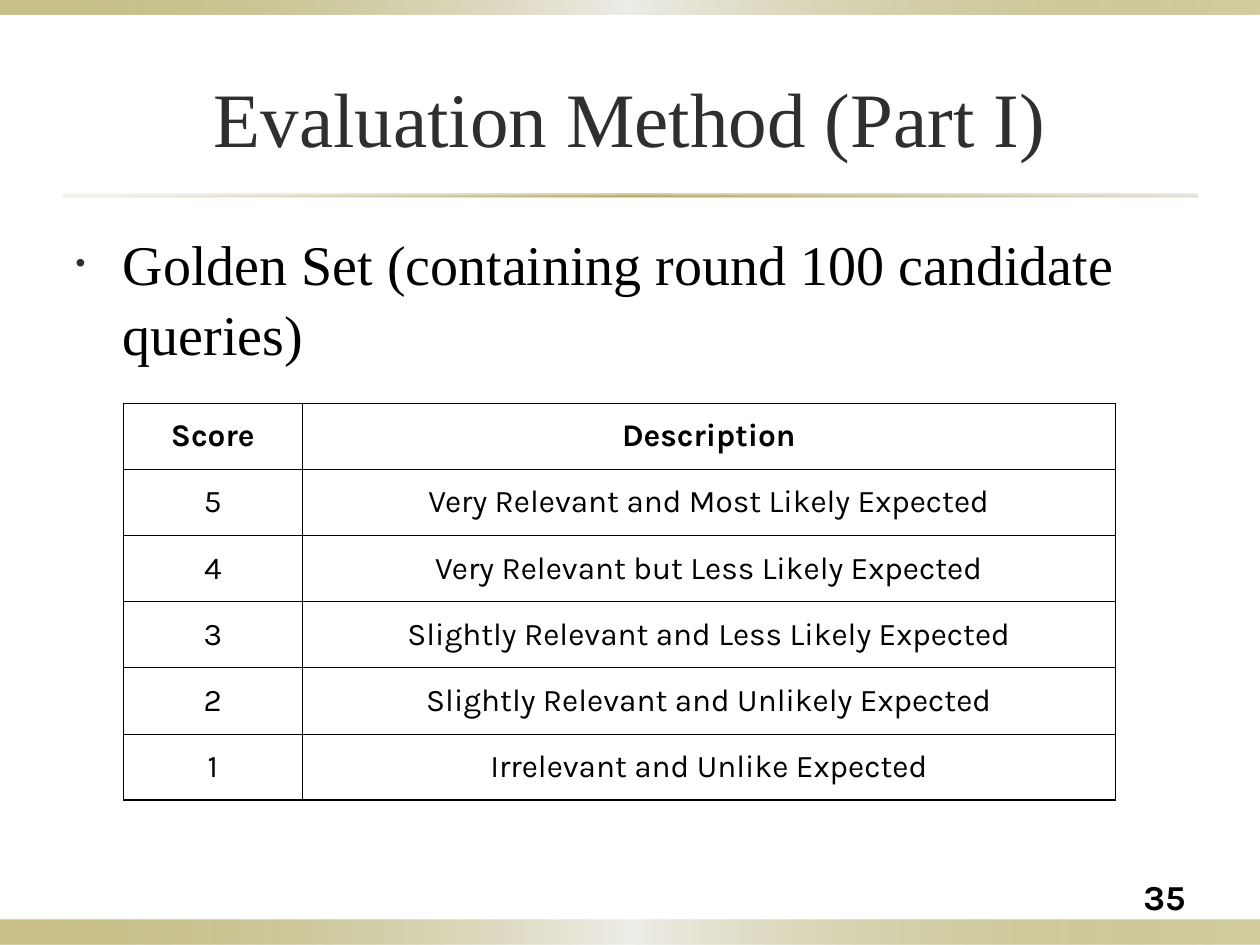
from lxml import etree
from pptx import Presentation
from pptx.dml.color import RGBColor
from pptx.enum.shapes import MSO_SHAPE
from pptx.enum.text import MSO_ANCHOR, MSO_AUTO_SIZE, PP_ALIGN
from pptx.oxml import parse_xml
from pptx.oxml.ns import nsdecls, qn
from pptx.util import Cm, Pt

RECTANGLE = MSO_SHAPE.RECTANGLE
MIDDLE, TOP = MSO_ANCHOR.MIDDLE, MSO_ANCHOR.TOP
LEFT, CENTER, RIGHT = PP_ALIGN.LEFT, PP_ALIGN.CENTER, PP_ALIGN.RIGHT
NO_AUTOFIT = MSO_AUTO_SIZE.NONE

BLACK = RGBColor(0x00, 0x00, 0x00)
CHARCOAL = RGBColor(0x2F, 0x2F, 0x2F)
OLIVE = RGBColor(0x91, 0x84, 0x15)
PALE = RGBColor(0xEE, 0xED, 0xE8)
SAND = RGBColor(0xDC, 0xD9, 0xCC)

SERIF, SANS = "Times New Roman", "Karla"

# Gradient stops: position in percent, colour, opacity in percent
BAND_STOPS = [(0, OLIVE, 50), (50, PALE, 100), (100, OLIVE, 40)]
RULE_STOPS = [(0, SAND, 20), (50, OLIVE, 40), (100, SAND, 50)]

SCORES = [
    ("Score", "Description"),
    ("5", "Very Relevant and Most Likely Expected"),
    ("4", "Very Relevant but Less Likely Expected"),
    ("3", "Slightly Relevant and Less Likely Expected"),
    ("2", "Slightly Relevant and Unlikely Expected"),
    ("1", "Irrelevant and Unlike Expected"),
]
SCORE_SHARE = 0.18
THICK, THIN = Pt(1), Pt(0.5)


def write(frame, text, font=SANS, size=18, color=BLACK, bold=False,
          align=LEFT, anchor=TOP):
    frame.word_wrap = True
    frame.vertical_anchor = anchor
    para = frame.paragraphs[0]
    para.alignment = align
    span = para.add_run()
    span.text = text
    span.font.name = font
    span.font.size = Pt(size)
    span.font.bold = bold
    span.font.color.rgb = color
    return para


def place(shape, box):
    shape.left, shape.top, shape.width, shape.height = box


def add_gradient_bar(page, box, stops):
    bar = page.shapes.add_shape(RECTANGLE, *box)
    bar.shadow.inherit = False
    bar.line.fill.background()
    stop_xml = "".join(
        f'<a:gs pos="{position * 1000}"><a:srgbClr val="{color}">'
        f'<a:alpha val="{opacity * 1000}"/></a:srgbClr></a:gs>'
        for position, color, opacity in stops)
    gradient = parse_xml(
        f'<a:gradFill {nsdecls("a")} rotWithShape="1"><a:gsLst>{stop_xml}</a:gsLst>'
        '<a:lin ang="0" scaled="1"/></a:gradFill>')
    bar.element.spPr.find(qn("a:prstGeom")).addnext(gradient)


def add_decoration(page, box):
    """Draw the bands at the page edges and the double rule below the title."""
    left, top, width, height = box
    foot = Cm(0.5)
    add_gradient_bar(page, (left, top + height - foot, width, foot), BAND_STOPS)
    add_gradient_bar(page, (left, top, width, Cm(0.3)), BAND_STOPS)
    margin = Cm(1.27)
    for shift in (0, Cm(0.03)):
        add_gradient_bar(page, (left + margin + shift, top + Cm(3.91) + shift,
                                width - 2 * margin, Cm(0.05)), RULE_STOPS)


def add_title(page, box, text):
    title = page.shapes.title
    place(title, box)
    write(title.text_frame, text, font=SERIF, size=44, color=CHARCOAL,
          align=CENTER, anchor=MIDDLE)
    title.text_frame.auto_size = NO_AUTOFIT


def add_bullet_text(page, box, text):
    body = page.placeholders[1]
    place(body, box)
    para = write(body.text_frame, text, font=SERIF, size=32)
    body.text_frame.auto_size = NO_AUTOFIT
    para.space_before = Pt(0)
    para.line_spacing = 1.04
    properties = para._p.get_or_add_pPr()
    properties.set("marL", str(Cm(0.95)))
    properties.set("indent", str(-Cm(0.95)))
    color = etree.SubElement(properties, qn("a:buClr"))
    etree.SubElement(color, qn("a:srgbClr"), val=str(CHARCOAL))
    etree.SubElement(properties, qn("a:buSzPct"), val="50000")
    etree.SubElement(properties, qn("a:buChar"), char="•")


def set_borders(cell, **widths):
    """Draw the cell's edges, given in the order lnL, lnR, lnT, lnB."""
    properties = cell._tc.get_or_add_tcPr()
    for index, (edge, width) in enumerate(widths.items()):
        properties.insert(index, parse_xml(
            f'<a:{edge} {nsdecls("a")} w="{width}"><a:solidFill>'
            f'<a:srgbClr val="{BLACK}"/></a:solidFill></a:{edge}>'))


def add_score_table(page, box, rows):
    width = box[2]
    table = page.shapes.add_table(len(rows), 2, *box).table
    table.horz_banding = False
    table.columns[0].width = int(width * SCORE_SHARE)
    table.columns[1].width = width - table.columns[0].width
    last = len(rows) - 1
    for row, texts in enumerate(rows):
        for column, text in enumerate(texts):
            cell = table.cell(row, column)
            cell.fill.background()
            cell.vertical_anchor = MIDDLE
            write(cell.text_frame, text, bold=row == 0, align=CENTER, anchor=None)
            set_borders(cell,
                        lnL=THICK if column == 0 else THIN,
                        lnR=THICK if column == 1 else THIN,
                        lnT=THICK if row in (0, 1) else THIN,
                        lnB=THICK if row in (0, last) else THIN)


def add_page_number(page, box, text):
    frame = page.shapes.add_textbox(*box).text_frame
    frame.margin_left = frame.margin_right = Cm(0.13)
    frame.margin_top = frame.margin_bottom = Cm(0.13)
    write(frame, text, size=20, bold=True, align=RIGHT, anchor=MIDDLE)


def main():
    deck = Presentation()
    deck.slide_width, deck.slide_height = Cm(25.4), Cm(19.05)
    page = deck.slides.add_slide(deck.slide_layouts[1])
    add_decoration(page, (0, 0, deck.slide_width, deck.slide_height))
    add_title(page, (Cm(1.27), Cm(0.76), Cm(22.86), Cm(3.18)),
              "Evaluation Method (Part I)")
    add_bullet_text(page, (Cm(1.27), Cm(4.45), Cm(22.86), Cm(13.03)),
                    "Golden Set (containing round 100 candidate queries)")
    add_score_table(page, (Cm(2.49), Cm(8.13), Cm(20), Cm(8)), SCORES)
    add_page_number(page, (Cm(21.49), Cm(17.68), Cm(2.54), Cm(0.79)), "35")
    deck.save("out.pptx")


if __name__ == "__main__":
    main()
